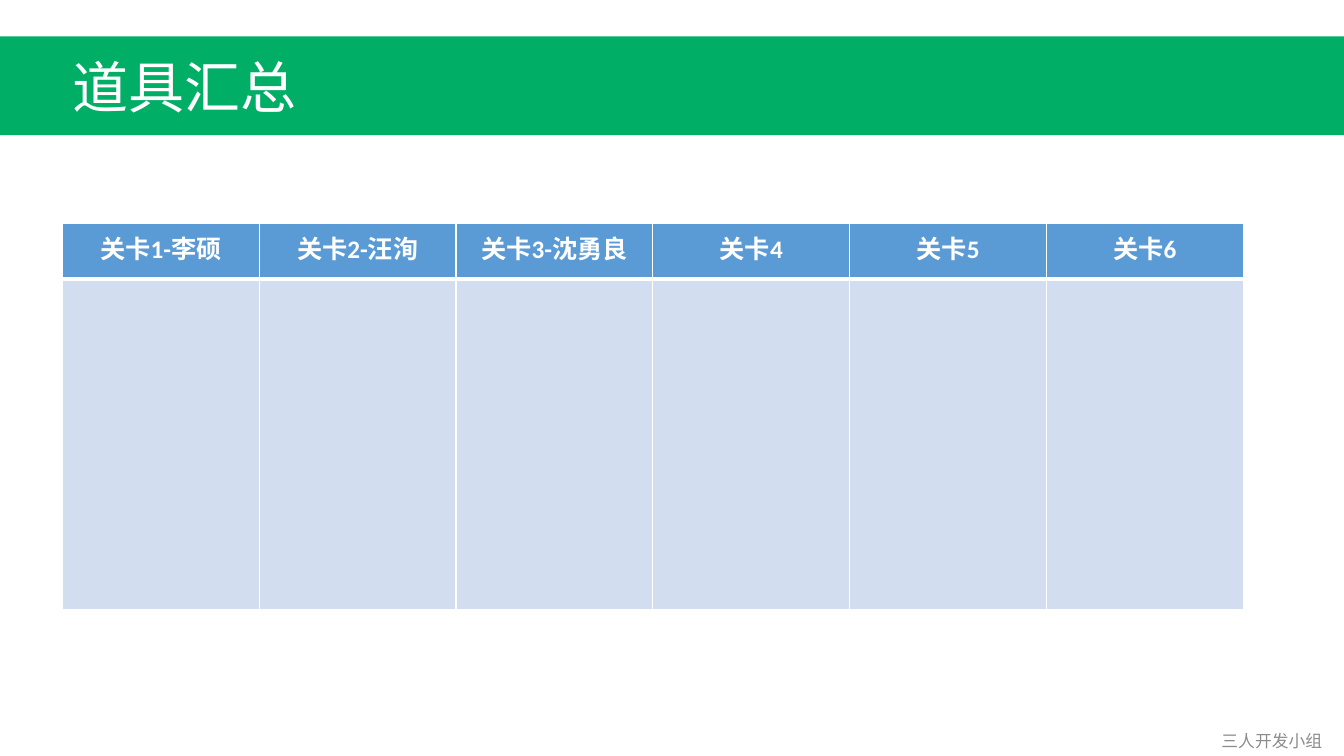
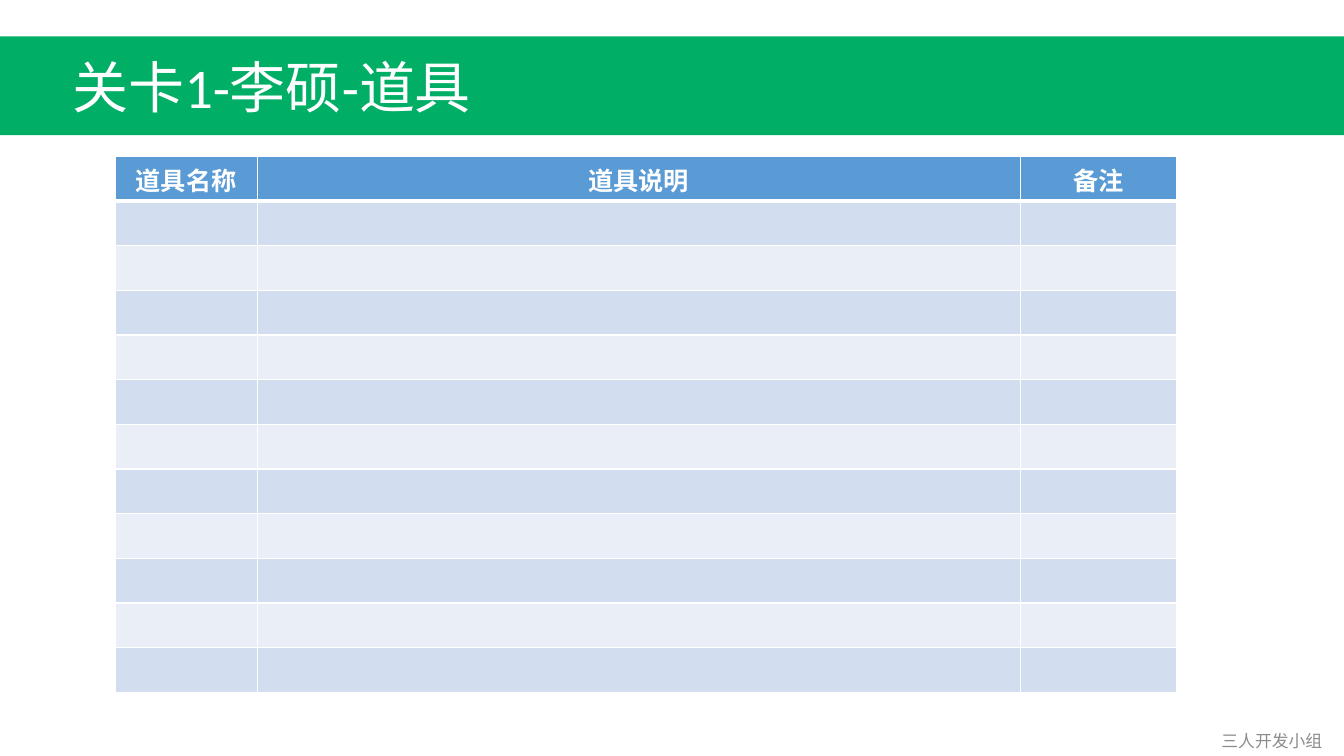
"""Build two slides that list the props of a game's levels."""
import dataclasses

import lxml.etree
import pptx
import pptx.dml.color
import pptx.enum.shapes
import pptx.enum.text
import pptx.oxml.ns
import pptx.presentation
import pptx.shapes.base
import pptx.slide
import pptx.table
import pptx.text.text
import pptx.util

Inches = pptx.util.Inches
Align = pptx.enum.text.PP_ALIGN
Anchor = pptx.enum.text.MSO_ANCHOR
AutoSize = pptx.enum.text.MSO_AUTO_SIZE

FONT = "Calibri"
GREEN = "00AE66"
WHITE = "FFFFFF"
GREY = "8C8C8C"
HEADER_BLUE = "5B9BD5"
ROW_BLUES = ("D2DEEF", "EAEFF7")
SLIDE_WIDTH, SLIDE_HEIGHT = 13.33, 7.5
TEAM = "三人开发小组"
THIN, THICK = 1, 3


@dataclasses.dataclass(frozen=True)
class Box:
    """A place on the slide, in inches."""
    left: float
    top: float
    width: float
    height: float

    def lengths(self) -> tuple[pptx.util.Length, ...]:
        """Return left, top, width and height as lengths."""
        return tuple(Inches(value) for value in dataclasses.astuple(self))


@dataclasses.dataclass(frozen=True)
class PropSlide:
    """A titled slide with a table whose body is still empty."""
    title: str
    left: float
    top: float
    headings: tuple[str, ...]
    column_widths: tuple[float, ...]
    row_heights: tuple[float, ...]


BAND = Box(0, 0.36, SLIDE_WIDTH, 0.98)
TITLE = Box(0.62, 0.47, 4.7, 0.77)
FOOTER = Box(11.9, 7.21, 1.43, 0.27)

LEVELS = ("关卡1-李硕", "关卡2-汪洵", "关卡3-沈勇良", "关卡4", "关卡5", "关卡6")
PROP_SLIDES = (
    PropSlide("道具汇总", 0.62, 2.22, LEVELS,
              (11.71 / len(LEVELS),) * len(LEVELS), (0.55, 3.28)),
    PropSlide(f"{LEVELS[0]}-道具", 1.14, 1.55, ("道具名称", "道具说明", "备注"),
              (1.41, 7.57, 1.55), (5.32 / 12,) * 12),
)


def color(value: str) -> pptx.dml.color.RGBColor:
    """Turn a hex string into a colour."""
    return pptx.dml.color.RGBColor.from_string(value)


def write(frame: pptx.text.text.TextFrame, text: str, *, size: float, fill: str,
          bold: bool = False, align: Align = Align.LEFT) -> None:
    """Put one formatted paragraph into a text frame."""
    paragraph = frame.paragraphs[0]
    paragraph.alignment = align
    run = paragraph.add_run()
    run.text = text
    run.font.name = FONT
    run.font.size = pptx.util.Pt(size)
    run.font.bold = bold
    run.font.color.rgb = color(fill)


def add_band(slide: pptx.slide.Slide) -> None:
    """Draw the green band behind the title."""
    band = slide.shapes.add_shape(
        pptx.enum.shapes.MSO_SHAPE.RECTANGLE, *BAND.lengths())
    band.shadow.inherit = False
    band.fill.solid()
    band.fill.fore_color.rgb = color(GREEN)
    band.line.fill.background()
    slide.shapes.title.element.addprevious(band.element)


def add_title(slide: pptx.slide.Slide, text: str) -> None:
    """Place and fill the title placeholder."""
    title = slide.shapes.title
    title.left, title.top, title.width, title.height = TITLE.lengths()
    frame = title.text_frame
    frame.word_wrap = True
    frame.auto_size = AutoSize.SHAPE_TO_FIT_TEXT
    frame.vertical_anchor = Anchor.TOP
    write(frame, text, size=40, fill=WHITE)


def add_footer(slide: pptx.slide.Slide) -> None:
    """Write the team's name in the lower right corner."""
    frame = slide.shapes.add_textbox(*FOOTER.lengths()).text_frame
    frame.word_wrap = True
    frame.vertical_anchor = Anchor.MIDDLE
    write(frame, TEAM, size=12, fill=GREY, align=Align.CENTER)


def set_borders(cell: pptx.table._Cell, top: float, bottom: float) -> None:
    """Give a cell white borders, with its own top and bottom widths."""
    qn = pptx.oxml.ns.qn
    properties = cell._tc.get_or_add_tcPr()
    widths = {"a:lnL": THIN, "a:lnR": THIN, "a:lnT": top, "a:lnB": bottom}
    for tag, points in widths.items():
        line = lxml.etree.SubElement(
            properties, qn(tag), w=str(pptx.util.Pt(points)))
        fill = lxml.etree.SubElement(line, qn("a:solidFill"))
        lxml.etree.SubElement(fill, qn("a:srgbClr"), val=WHITE)


def add_prop_table(slide: pptx.slide.Slide, content: PropSlide) -> None:
    """Draw the table: a blue header over rows in alternating tints."""
    place = Box(content.left, content.top,
                sum(content.column_widths), sum(content.row_heights))
    table = slide.shapes.add_table(
        len(content.row_heights), len(content.headings), *place.lengths()).table
    for column, width in zip(table.columns, content.column_widths):
        column.width = Inches(width)
    for index, height in enumerate(content.row_heights):
        row = table.rows[index]
        row.height = Inches(height)
        is_header = index == 0
        tint = HEADER_BLUE if is_header else ROW_BLUES[(index - 1) % 2]
        for cell in row.cells:
            set_borders(cell, top=THICK if index == 1 else THIN,
                        bottom=THICK if is_header else THIN)
            cell.fill.solid()
            cell.fill.fore_color.rgb = color(tint)
    for cell, heading in zip(table.rows[0].cells, content.headings):
        write(cell.text_frame, heading, size=18, fill=WHITE, bold=True,
              align=Align.CENTER)


def add_prop_slide(deck: pptx.presentation.Presentation,
                   content: PropSlide) -> None:
    """Add one slide with band, title, footer and table."""
    slide = deck.slides.add_slide(deck.slide_layouts.get_by_name("Title Only"))
    add_band(slide)
    add_title(slide, content.title)
    add_footer(slide)
    add_prop_table(slide, content)


def main() -> None:
    """Build and save the deck."""
    deck = pptx.Presentation()
    deck.slide_width = Inches(SLIDE_WIDTH)
    deck.slide_height = Inches(SLIDE_HEIGHT)
    for content in PROP_SLIDES:
        add_prop_slide(deck, content)
    deck.save("out.pptx")


main()
